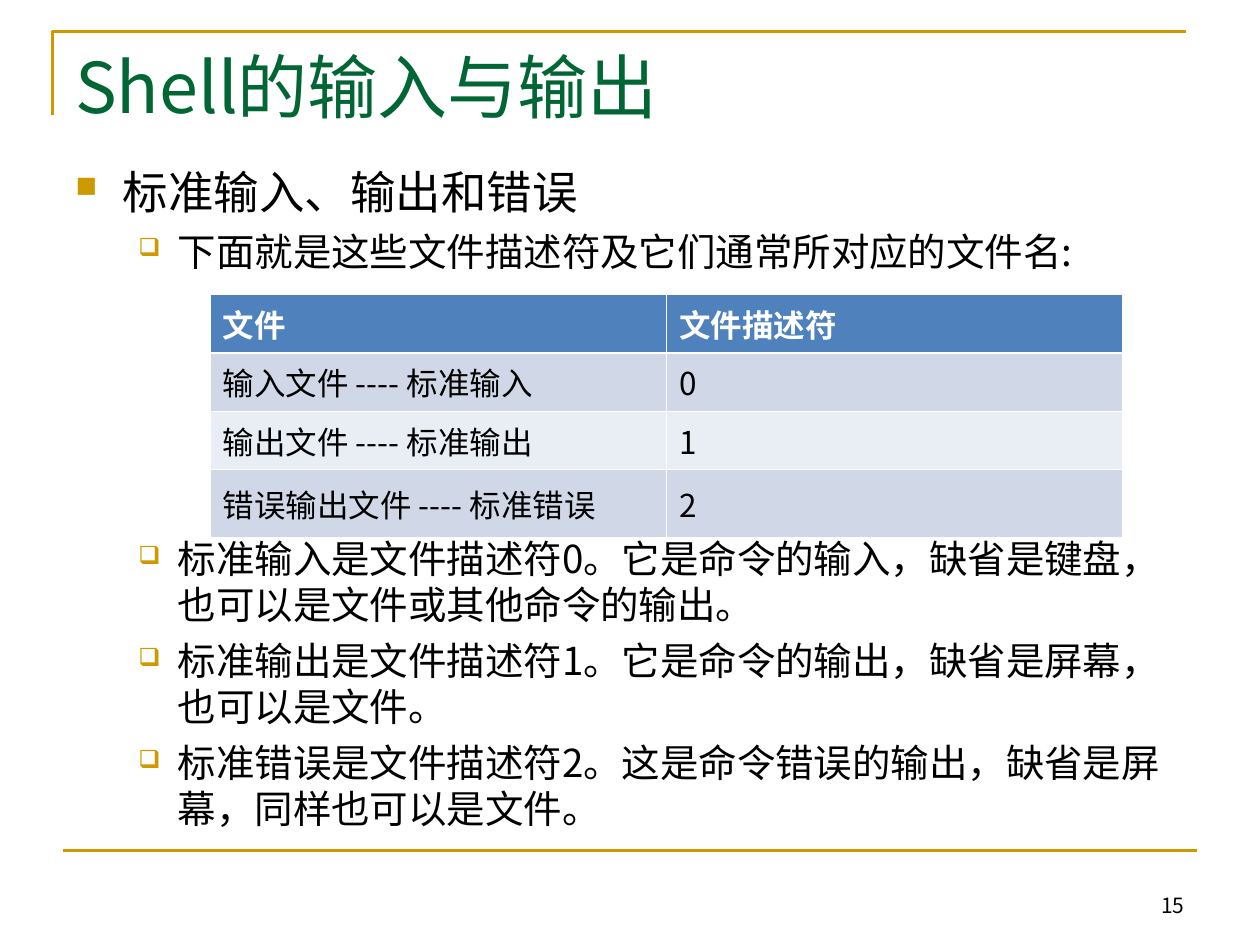
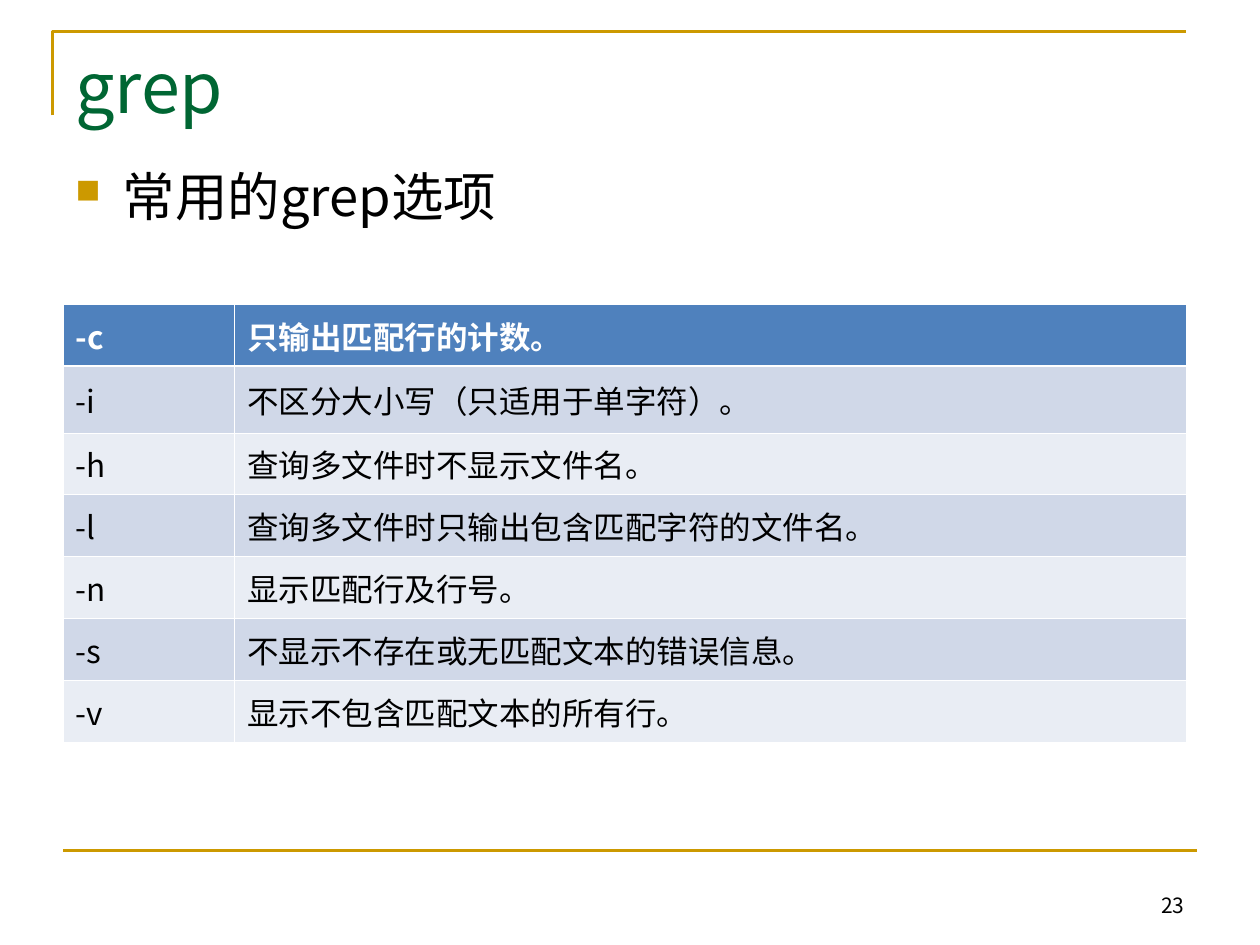
from lxml.etree import SubElement
from pptx import Presentation
from pptx.dml.color import RGBColor
from pptx.enum.shapes import MSO_CONNECTOR as Connector
from pptx.enum.text import MSO_ANCHOR as Anchor, PP_ALIGN as Align
from pptx.oxml import parse_xml
from pptx.oxml.ns import nsdecls, qn
from pptx.util import Pt

GOLD = RGBColor(0xCC, 0x99, 0x00)
GREEN = RGBColor(0x00, 0x66, 0x33)
BLACK = RGBColor(0x00, 0x00, 0x00)
WHITE = RGBColor(0xFF, 0xFF, 0xFF)
HEADER_BLUE = RGBColor(0x4F, 0x81, 0xBD)
BANDS = [RGBColor(0xE9, 0xED, 0xF4), RGBColor(0xD0, 0xD8, 0xE8)]

NOTO = "Noto Sans CJK SC"
CALIBRI = "Calibri"
MARKER_FONT = "OpenSymbol"
RULE_WIDTH = Pt(1.5)
THIN, THICK = Pt(0.45), Pt(1.47)

# Marker, indent and hanging indent of each outline level
LEVELS = [("■", 27, 27), ("❑", 58.5, 22.5)]


def apply(target, formats):
    for name, value in formats.items():
        setattr(target, name, value)


def write(paragraph, text, size, color=BLACK, font=NOTO, bold=False):
    run = paragraph.add_run()
    run.text = text
    apply(run.font, {"size": Pt(size), "name": font, "bold": bold})
    run.font.color.rgb = color
    SubElement(run.font._element, qn("a:ea"), typeface=NOTO)


def add_text_frame(slide, left, top, width, height, anchor=Anchor.TOP):
    box = slide.shapes.add_textbox(Pt(left), Pt(top), Pt(width), Pt(height))
    apply(box.text_frame, {"word_wrap": True, "vertical_anchor": anchor})
    return box.text_frame


def add_frame_lines(slide):
    """Draw the gold corner above the title and the rule above the footer."""
    builder = slide.shapes.build_freeform(Pt(30), Pt(66))
    builder.add_line_segments([(Pt(30), Pt(18)), (Pt(678), Pt(18))], close=False)
    corner = builder.convert_to_shape()
    corner.shadow.inherit = False
    corner.fill.background()
    rule = slide.shapes.add_connector(
        Connector.STRAIGHT, Pt(36), Pt(486), Pt(684), Pt(486))
    SubElement(rule._element.spPr, qn("a:effectLst"))
    for shape in (corner, rule):
        shape.line.color.rgb = GOLD
        shape.line.width = RULE_WIDTH


def add_base(deck, title, number):
    """Add a slide with the shared lines, title and page number."""
    slide = deck.slides.add_slide(deck.slide_layouts[6])
    add_frame_lines(slide)
    page = add_text_frame(slide, 516, 492, 168, 36, Anchor.BOTTOM).paragraphs[0]
    page.alignment = Align.RIGHT
    write(page, str(number), 12)
    heading = add_text_frame(slide, 36, 21.6, 648, 90).paragraphs[0]
    write(heading, title, 40, GREEN)
    return slide


def add_marker(paragraph, marker, indent, hanging):
    properties = paragraph._p.get_or_add_pPr()
    properties.set("marL", str(Pt(indent)))
    properties.set("indent", str(-Pt(hanging)))
    color = SubElement(properties, qn("a:buClr"))
    SubElement(color, qn("a:srgbClr"), val=str(GOLD))
    SubElement(properties, qn("a:buSzPct"), val="65000")
    SubElement(properties, qn("a:buFont"), typeface=MARKER_FONT)
    SubElement(properties, qn("a:buChar"), char=marker)


def add_outline(slide, items):
    """Write (level, size, space before, text) items as a bulleted list."""
    frame = add_text_frame(slide, 36, 90, 648, 390)
    for index, (level, size, space, text) in enumerate(items):
        paragraph = frame.add_paragraph() if index else frame.paragraphs[0]
        add_marker(paragraph, *LEVELS[level])
        paragraph.level = level
        if index:
            paragraph.space_before = Pt(space)
        write(paragraph, text, size)


def set_borders(cell, top, bottom):
    properties = cell._tc.get_or_add_tcPr()
    widths = {"lnL": THIN, "lnR": THIN, "lnT": top, "lnB": bottom}
    for position, (side, width) in enumerate(widths.items()):
        properties.insert(position, parse_xml(
            f'<a:{side} {nsdecls("a")} w="{width}"><a:solidFill>'
            f'<a:srgbClr val="{WHITE}"/></a:solidFill></a:{side}>'))


def add_grid(slide, left, top, widths, heights, rows, is_calibri):
    """Add a banded table; is_calibri(row, column) picks the Latin font."""
    table = slide.shapes.add_table(
        len(rows), len(widths), Pt(left), Pt(top),
        Pt(sum(widths)), Pt(sum(heights))).table
    for column, width in zip(table.columns, widths):
        column.width = Pt(width)
    for r, (texts, height) in enumerate(zip(rows, heights)):
        table.rows[r].height = Pt(height)
        header = r == 0
        for c, text in enumerate(texts):
            cell = table.cell(r, c)
            cell.vertical_anchor = Anchor.MIDDLE
            cell.fill.solid()
            cell.fill.fore_color.rgb = HEADER_BLUE if header else BANDS[r % 2]
            set_borders(cell, THICK if r == 1 else THIN, THICK if header else THIN)
            write(cell.text_frame.paragraphs[0], text, 18,
                  WHITE if header else BLACK,
                  CALIBRI if is_calibri(r, c) else NOTO, header)


def add_shell_slide(deck):
    slide = add_base(deck, "Shell的输入与输出", 15)
    add_outline(slide, [
        (0, 26, 0, "标准输入、输出和错误"),
        (1, 22, 5.5, "下面就是这些文件描述符及它们通常所对应的文件名:"),
        (1, 22, 149.2, "标准输入是文件描述符0。它是命令的输入，缺省是键盘，也可以是文件或其他命令的输出。"),
        (1, 22, 5.5, "标准输出是文件描述符1。它是命令的输出，缺省是屏幕，也可以是文件。"),
        (1, 22, 5.5, "标准错误是文件描述符2。这是命令错误的输出，缺省是屏幕，同样也可以是文件。"),
    ])
    add_grid(slide, 120.2, 168.4, [260.7] * 2, [33.3] * 3 + [39], [
        ("文件", "文件描述符"),
        ("输入文件 ---- 标准输入", "0"),
        ("输出文件 ---- 标准输出", "1"),
        ("错误输出文件 ---- 标准错误", "2"),
    ], lambda row, column: row == 0)


def add_grep_slide(deck):
    slide = add_base(deck, "grep", 23)
    add_outline(slide, [(0, 30, 0, "常用的grep选项")])
    add_grid(slide, 36.1, 174, [97.9, 543.9], [35.2, 38.2] + [35.4] * 5, [
        ("-c", "只输出匹配行的计数。"),
        ("-i", "不区分大小写（只适用于单字符）。"),
        ("-h", "查询多文件时不显示文件名。"),
        ("-l", "查询多文件时只输出包含匹配字符的文件名。"),
        ("-n", "显示匹配行及行号。"),
        ("-s", "不显示不存在或无匹配文本的错误信息。"),
        ("-v", "显示不包含匹配文本的所有行。"),
    ], lambda row, column: column == 1)


def main():
    deck = Presentation()
    apply(deck, {"slide_width": Pt(720), "slide_height": Pt(540)})
    add_shell_slide(deck)
    add_grep_slide(deck)
    deck.save("out.pptx")


if __name__ == "__main__":
    main()
